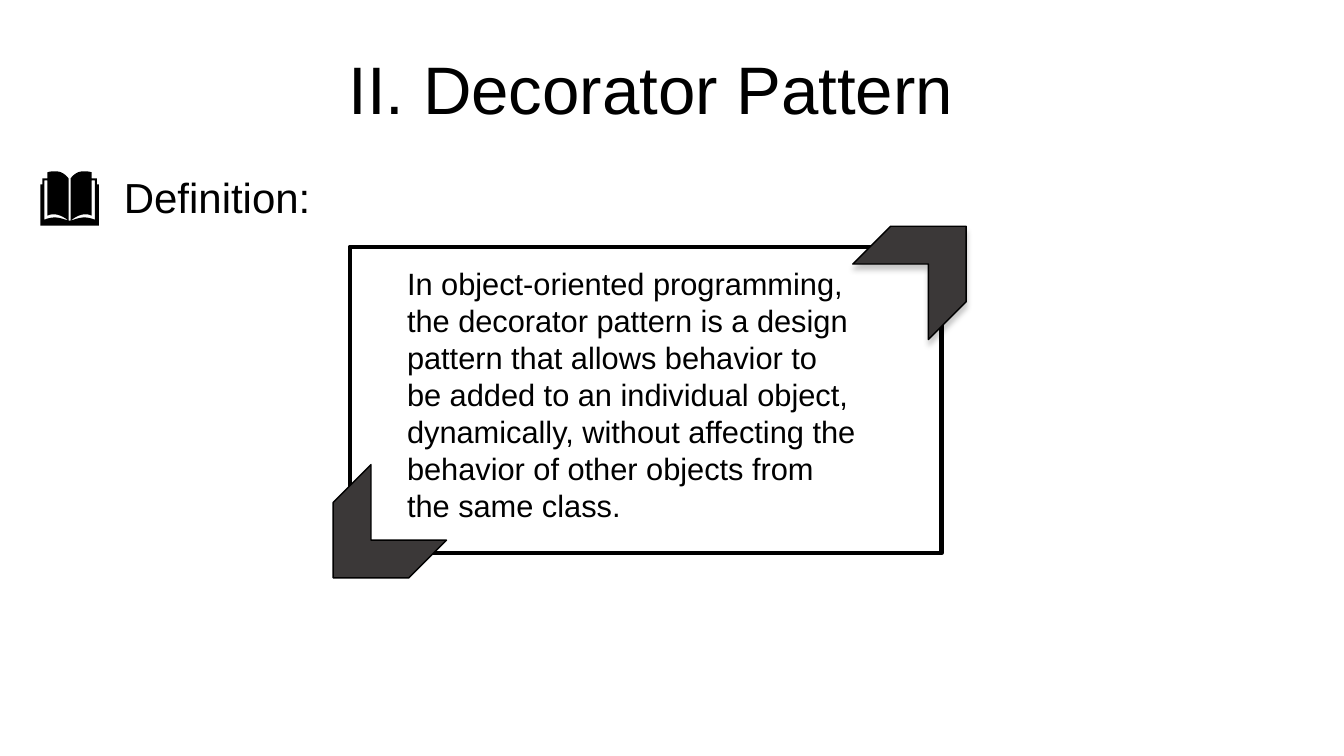
"""Build a slide that defines the decorator pattern."""
import lxml.etree
import pptx
import pptx.dml.color
import pptx.enum.shapes
import pptx.enum.text
import pptx.oxml.ns
import pptx.util

BLACK = pptx.dml.color.RGBColor(0x00, 0x00, 0x00)
WHITE = pptx.dml.color.RGBColor(0xFF, 0xFF, 0xFF)
CHARCOAL = pptx.dml.color.RGBColor(0x3B, 0x38, 0x38)
SHAPES = pptx.enum.shapes.MSO_SHAPE
ANCHORS = pptx.enum.text.MSO_ANCHOR

deck = pptx.Presentation()
deck.slide_width = pptx.util.Inches(13.33)
deck.slide_height = pptx.util.Inches(7.5)
page = deck.slides.add_slide(deck.slide_layouts[6])
CELL = deck.slide_width / 160


def cells(*counts):
    """Turn counts of grid cells into lengths."""
    return [pptx.util.Emu(round(count * CELL)) for count in counts]


def add_shape(kind, place, fill, line_width, turn=0):
    """Add a filled and outlined shape without a shadow."""
    shape = page.shapes.add_shape(kind, *cells(*place))
    shape.rotation = turn
    shape.shadow.inherit = False
    shape.fill.solid()
    shape.fill.fore_color.rgb = fill
    shape.line.color.rgb = BLACK
    shape.line.width = pptx.util.Pt(line_width)
    return shape


# Half of the book: steps of one point are lines, steps of three are curves.
half_steps = [
    [(1, 49)], [(10, 46), (15, 44), (25, 48)], [(25, 9)], [(22, 9)],
    [(22, 44)], [(16, 41), (8, 43), (1, 49)], [(1, 7)],
    [(5, 2), (9, 0), (14, 0)], [(17, 0), (19, 0), (22, 1)], [(22, 7)],
    [(27, 7)], [(27, 13)], [(29, 13)], [(29, 54)],
]
half = []
for step in half_steps:
    if len(step) == 1:
        half += step
        continue
    curve = [half[-1]] + step
    for share in [count / 8 for count in range(1, 9)]:
        rest = 1 - share
        weights = [rest**3, 3 * rest**2 * share, 3 * rest * share**2, share**3]
        half.append(tuple(
            sum(weight * point[axis] for weight, point in zip(weights, curve))
            for axis in (0, 1)))

SPINE, BOOK_TOP, BOOK_CELL = 8.28, 20.4, 0.12
outline = half + [(-across, down) for across, down in reversed(half)]
points = [cells(SPINE + across * BOOK_CELL, BOOK_TOP + down * BOOK_CELL)
          for across, down in outline]
builder = page.shapes.build_freeform(*points[0])
builder.add_line_segments(points[1:], close=True)
book = builder.convert_to_shape()
book.shadow.inherit = False
book.fill.solid()
book.fill.fore_color.rgb = BLACK
book.line.fill.background()

add_shape(SHAPES.RECTANGLE, (41.64, 29.4, 70.44, 36.48), WHITE, 3)
add_shape(SHAPES.CHEVRON, (37.8, 57.96, 12.72, 12.72), CHARCOAL, 1, 135)
upper_corner = add_shape(
    SHAPES.CHEVRON, (104.16, 25.08, 12.72, 12.72), CHARCOAL, 1, 315)

effects = upper_corner._element.spPr.find(pptx.oxml.ns.qn("a:effectLst"))
shadow = lxml.etree.SubElement(
    effects, pptx.oxml.ns.qn("a:outerShdw"), blurRad=str(pptx.util.Pt(4)),
    dist=str(pptx.util.Pt(4)), dir="5400000", rotWithShape="0")
shade = lxml.etree.SubElement(
    shadow, pptx.oxml.ns.qn("a:srgbClr"), val=str(BLACK))
lxml.etree.SubElement(shade, pptx.oxml.ns.qn("a:alpha"), val="22000")

definition = (
    "In object-oriented programming, the decorator pattern is a design "
    "pattern that allows behavior to be added to an individual object, "
    "dynamically, without affecting the behavior of other objects from "
    "the same class.")
texts = [
    ("II. Decorator Pattern", (40.32, 4.44, 104, 12), 48, ANCHORS.MIDDLE),
    ("Definition:", (13.56, 19.56, 104, 7.68), 30, ANCHORS.MIDDLE),
    (definition, (47.28, 30.96, 56.16, 36.72), 22, ANCHORS.TOP),
]
for words, place, size, anchor in texts:
    box = page.shapes.add_textbox(*cells(*place))
    box.text_frame.word_wrap = True
    box.text_frame.vertical_anchor = anchor
    box.text_frame.text = words
    span = box.text_frame.paragraphs[0].runs[0]
    span.font.name = "Arial"
    span.font.size = pptx.util.Pt(size)
    span.font.color.rgb = BLACK

deck.save("out.pptx")
